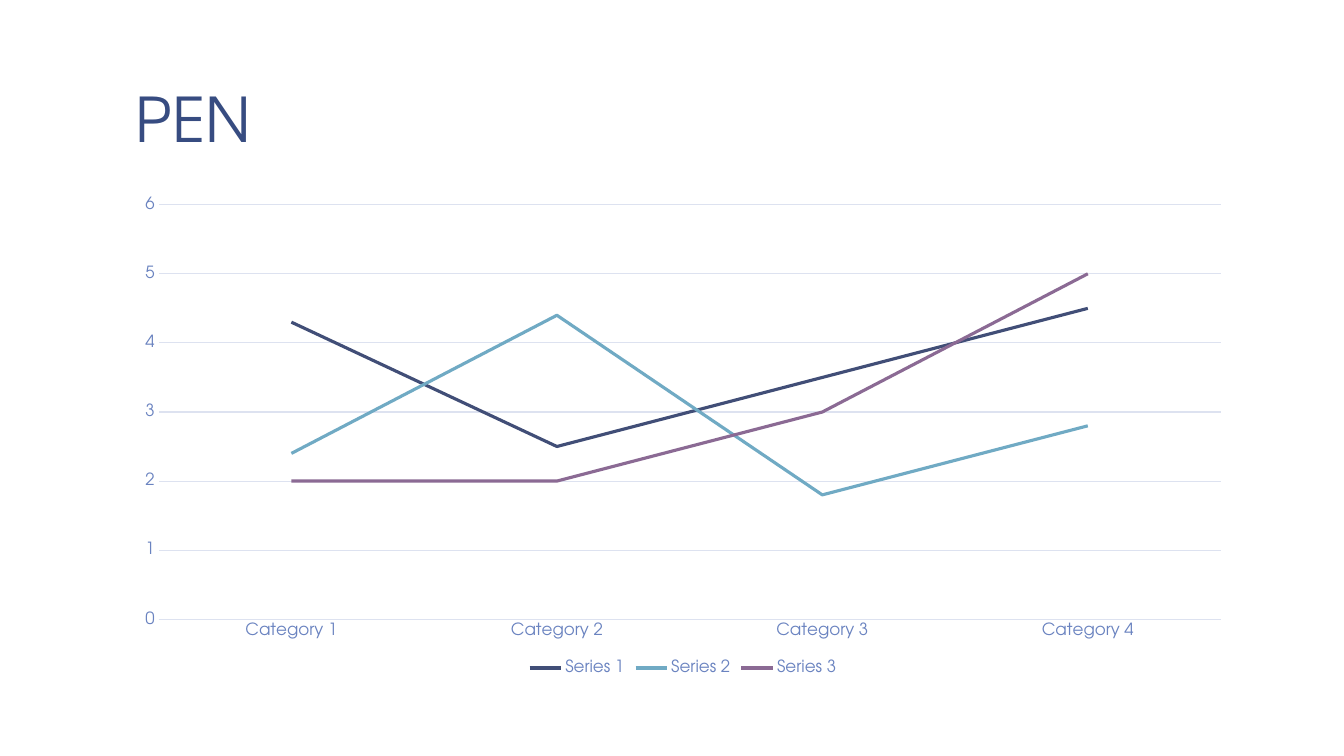
import pptx
import pptx.chart.data
import pptx.dml.color
import pptx.enum.chart
import pptx.enum.text
import pptx.util

RGBColor = pptx.dml.color.RGBColor
Pt = pptx.util.Pt

NAVY = RGBColor(0x37, 0x4C, 0x81)
LABEL_BLUE = RGBColor(0x6A, 0x83, 0xC0)
GRID_BLUE = RGBColor(0xDD, 0xE2, 0xF0)
WHITE = RGBColor(0xFF, 0xFF, 0xFF)
FONT = "TeX Gyre Adventor"

TITLE = "PEN"
CATEGORIES = ["Category 1", "Category 2", "Category 3", "Category 4"]
SERIES = [
    ("Series 1", (4.3, 2.5, 3.5, 4.5), RGBColor(0x41, 0x4E, 0x77)),
    ("Series 2", (2.4, 4.4, 1.8, 2.8), RGBColor(0x70, 0xAA, 0xC4)),
    ("Series 3", (2, 2, 3, 5), RGBColor(0x8B, 0x6A, 0x94)),
]

PAGE_SIZE = (1344, 756)
TITLE_BOX = (123, 8, 1120, 154)
CHART_BOX = (123, 187, 1120, 493)
PX_PER_INCH = 100.8


def emu(*lengths):
    return [pptx.util.Inches(length / PX_PER_INCH) for length in lengths]


def style_font(font, size, color):
    font.name = FONT
    font.size = Pt(size)
    font.bold = False
    font.color.rgb = color


def style_line(line, color, width):
    line.color.rgb = color
    line.width = Pt(width)


def add_title(page):
    box = page.shapes.title
    box.left, box.top, box.width, box.height = emu(*TITLE_BOX)
    frame = box.text_frame
    frame.text = TITLE
    frame.word_wrap = True
    frame.auto_size = pptx.enum.text.MSO_AUTO_SIZE.NONE
    frame.vertical_anchor = pptx.enum.text.MSO_ANCHOR.BOTTOM
    frame.margin_left, frame.margin_right = emu(13, 13)
    frame.margin_top, frame.margin_bottom = emu(7, 7)
    para = frame.paragraphs[0]
    para.alignment = pptx.enum.text.PP_ALIGN.LEFT
    para.line_spacing = 0.85
    style_font(para.runs[0].font, 44, NAVY)


def add_line_chart(page):
    data = pptx.chart.data.CategoryChartData()
    data.categories = CATEGORIES
    for name, values, color in SERIES:
        data.add_series(name, values)
    chart = page.shapes.add_chart(
        pptx.enum.chart.XL_CHART_TYPE.LINE, *emu(*CHART_BOX), data
    ).chart
    chart.has_title = False
    style_font(chart.font, 10, NAVY)

    chart.has_legend = True
    chart.legend.position = pptx.enum.chart.XL_LEGEND_POSITION.BOTTOM
    chart.legend.include_in_layout = False
    style_font(chart.legend.font, 12, LABEL_BLUE)

    for axis in (chart.category_axis, chart.value_axis):
        axis.major_tick_mark = pptx.enum.chart.XL_TICK_MARK.NONE
        axis.minor_tick_mark = pptx.enum.chart.XL_TICK_MARK.NONE
        style_font(axis.tick_labels.font, 12, LABEL_BLUE)
    style_line(chart.category_axis.format.line, GRID_BLUE, 0.75)
    value_axis = chart.value_axis
    value_axis.minimum_scale, value_axis.maximum_scale = 0, 6
    value_axis.major_unit = 1
    value_axis.format.line.fill.background()
    value_axis.has_major_gridlines = True
    style_line(value_axis.major_gridlines.format.line, GRID_BLUE, 0.75)

    plot = chart.plots[0]
    plot.vary_by_categories = False
    for series, (name, values, color) in zip(plot.series, SERIES):
        series.smooth = False
        series.marker.style = pptx.enum.chart.XL_MARKER_STYLE.NONE
        style_line(series.format.line, color, 2.25)


def main():
    deck = pptx.Presentation()
    deck.slide_width, deck.slide_height = emu(*PAGE_SIZE)
    page = deck.slides.add_slide(deck.slide_layouts.get_by_name("Title Only"))
    page.background.fill.solid()
    page.background.fill.fore_color.rgb = WHITE
    add_title(page)
    add_line_chart(page)
    deck.save("out.pptx")


if __name__ == "__main__":
    main()
